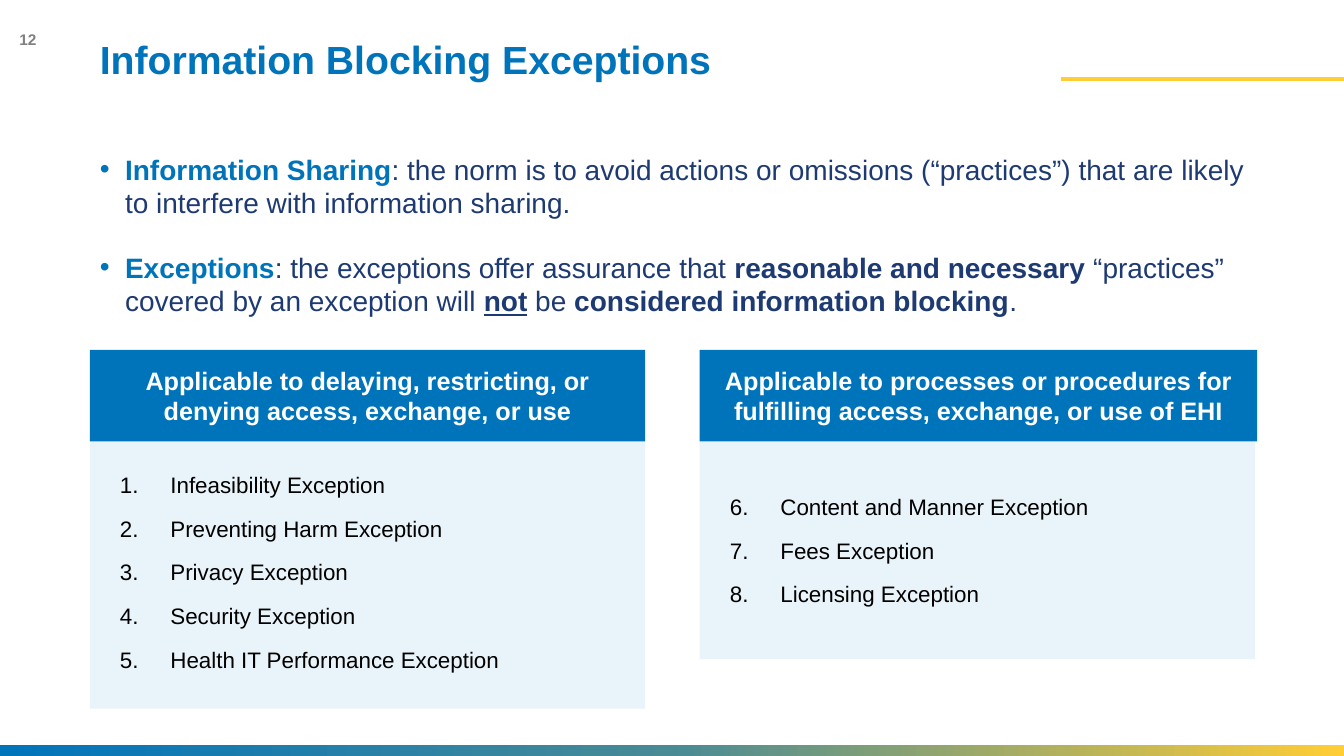
from lxml.etree import SubElement
from pptx import Presentation
from pptx.dml.color import RGBColor
from pptx.enum.shapes import MSO_CONNECTOR, MSO_SHAPE
from pptx.enum.text import MSO_ANCHOR, MSO_AUTO_SIZE, PP_ALIGN
from pptx.oxml.ns import qn
from pptx.util import Pt

PX = 9144  # 100 px to the inch
COLORS = {
    "blue": "0074BB", "navy": "1E3A72", "teal": "498A95", "yellow": "FFCD35",
    "pale": "E9F4FA", "gray": "808080", "white": "FFFFFF", "black": "000000",
}
RGB = {name: RGBColor.from_string(value) for name, value in COLORS.items()}


def style(p, size, color, bold=False):
    for r in p.runs:
        r.font.name = "Arial"
        r.font.size = Pt(size)
        r.font.bold = bold
        r.font.color.rgb = RGB[color]


def set_bullet(p, indent, tag, **attrs):
    """Give a paragraph a hanging indent in px and a bullet or number."""
    pPr = p._p.get_or_add_pPr()
    pPr.set("marL", str(indent * PX))
    pPr.set("indent", str(-indent * PX))
    SubElement(pPr, qn("a:buFont"), typeface="Arial")
    SubElement(pPr, qn(tag), **attrs)


prs = Presentation()
prs.slide_width, prs.slide_height = 1333 * PX, 750 * PX
slide = prs.slides.add_slide(prs.slide_layouts[1])
shapes = slide.shapes

# Page number, footer band and title rule
number = shapes.add_textbox(-3 * PX, 19 * PX, 49 * PX, 40 * PX)
tf = number.text_frame
tf.word_wrap = True
tf.vertical_anchor = MSO_ANCHOR.MIDDLE
tf.text = "12"
tf.paragraphs[0].alignment = PP_ALIGN.RIGHT
style(tf.paragraphs[0], 11, "gray", True)

band = shapes.add_shape(MSO_SHAPE.RECTANGLE, 0, 739 * PX, 1333 * PX, 11 * PX)
band.shadow.inherit = False
band.line.fill.background()
band.fill.gradient()
band.fill.gradient_angle = 0
gsLst = band.fill._fill._gradFill.gsLst
for stop in list(gsLst):
    gsLst.remove(stop)
for percent, color in ((0, "blue"), (50, "teal"), (100, "yellow")):
    stop = SubElement(gsLst, qn("a:gs"), pos=str(percent * 1000))
    SubElement(stop, qn("a:srgbClr"), val=COLORS[color])

rule = shapes.add_connector(MSO_CONNECTOR.STRAIGHT, 1052 * PX, 78 * PX, 1333 * PX, 78 * PX)
rule.line.color.rgb = RGB["yellow"]
rule.line.width = Pt(2.75)
SubElement(rule._element.spPr, qn("a:effectLst"))

# Title and introduction
title, body = shapes.title, slide.placeholders[1]
for sp, top, width, height in ((title, 35, 917, 91), (body, 146, 1157, 187)):
    sp.left, sp.top, sp.width, sp.height = 89 * PX, top * PX, width * PX, height * PX
    sp.text_frame.vertical_anchor = MSO_ANCHOR.TOP
    sp.text_frame.auto_size = MSO_AUTO_SIZE.NONE

title.text_frame.text = "Information Blocking Exceptions"
p = title.text_frame.paragraphs[0]
p.alignment = PP_ALIGN.LEFT
p.line_spacing = 0.9
style(p, 28, "blue", True)

points = [
    [("Information Sharing", "term"),
     (": the norm is to avoid actions or omissions (“practices”) that are likely "
      "to interfere with information sharing.", "plain")],
    [("Exceptions", "term"),
     (": the exceptions offer assurance that ", "plain"),
     ("reasonable and necessary ", "bold"),
     ("“practices” covered by an exception will ", "plain"),
     ("not", "underlined"),
     (" be ", "plain"),
     ("considered information blocking", "bold"),
     (".", "plain")],
]
tf = body.text_frame
for i, point in enumerate(points):
    p = tf.paragraphs[0] if i == 0 else tf.add_paragraph()
    p.space_before = Pt(22)
    set_bullet(p, 25, "a:buChar", char="•")
    for text, _ in point:
        p.add_run().text = text
    style(p, 20, "navy")
    for r, (_, look) in zip(p.runs, point):
        r.font.bold = look != "plain"
        if look == "term":
            r.font.color.rgb = RGB["blue"]
        if look == "underlined":
            r.font.underline = True

# Two groups of exceptions: a numbered panel under a heading
groups = [
    (89, 551, 432, 271, 1,
     "Applicable to delaying, restricting, or denying access, exchange, or use",
     ["Infeasibility Exception", "Preventing Harm Exception", "Privacy Exception",
      "Security Exception", "Health IT Performance Exception"]),
    (694, 553, 438, 216, 6,
     "Applicable to processes or procedures for fulfilling access, exchange, or use of EHI",
     ["Content and Manner Exception", "Fees Exception", "Licensing Exception"]),
]
for left, head_width, top, height, start, heading, exceptions in groups:
    panel = shapes.add_shape(MSO_SHAPE.RECTANGLE, left * PX, top * PX, 551 * PX, height * PX)
    head = shapes.add_shape(MSO_SHAPE.RECTANGLE, left * PX, 347 * PX, head_width * PX, 91 * PX)
    for sp, color in ((panel, "pale"), (head, "blue")):
        sp.shadow.inherit = False
        sp.line.fill.background()
        sp.fill.solid()
        sp.fill.fore_color.rgb = RGB[color]
        sp.text_frame.word_wrap = True
        sp.text_frame.vertical_anchor = MSO_ANCHOR.MIDDLE

    head.text_frame.text = heading
    p = head.text_frame.paragraphs[0]
    p.alignment = PP_ALIGN.CENTER
    style(p, 18, "white", True)

    tf = panel.text_frame
    tf.margin_left = tf.margin_right = tf.margin_top = tf.margin_bottom = 30 * PX
    tf.text = "\n".join(exceptions)
    for p in tf.paragraphs:
        p.alignment = PP_ALIGN.LEFT
        p.space_before = p.space_after = Pt(6)
        set_bullet(p, 50, "a:buAutoNum", type="arabicPeriod", startAt=str(start))
        style(p, 16, "black")

prs.save("out.pptx")
